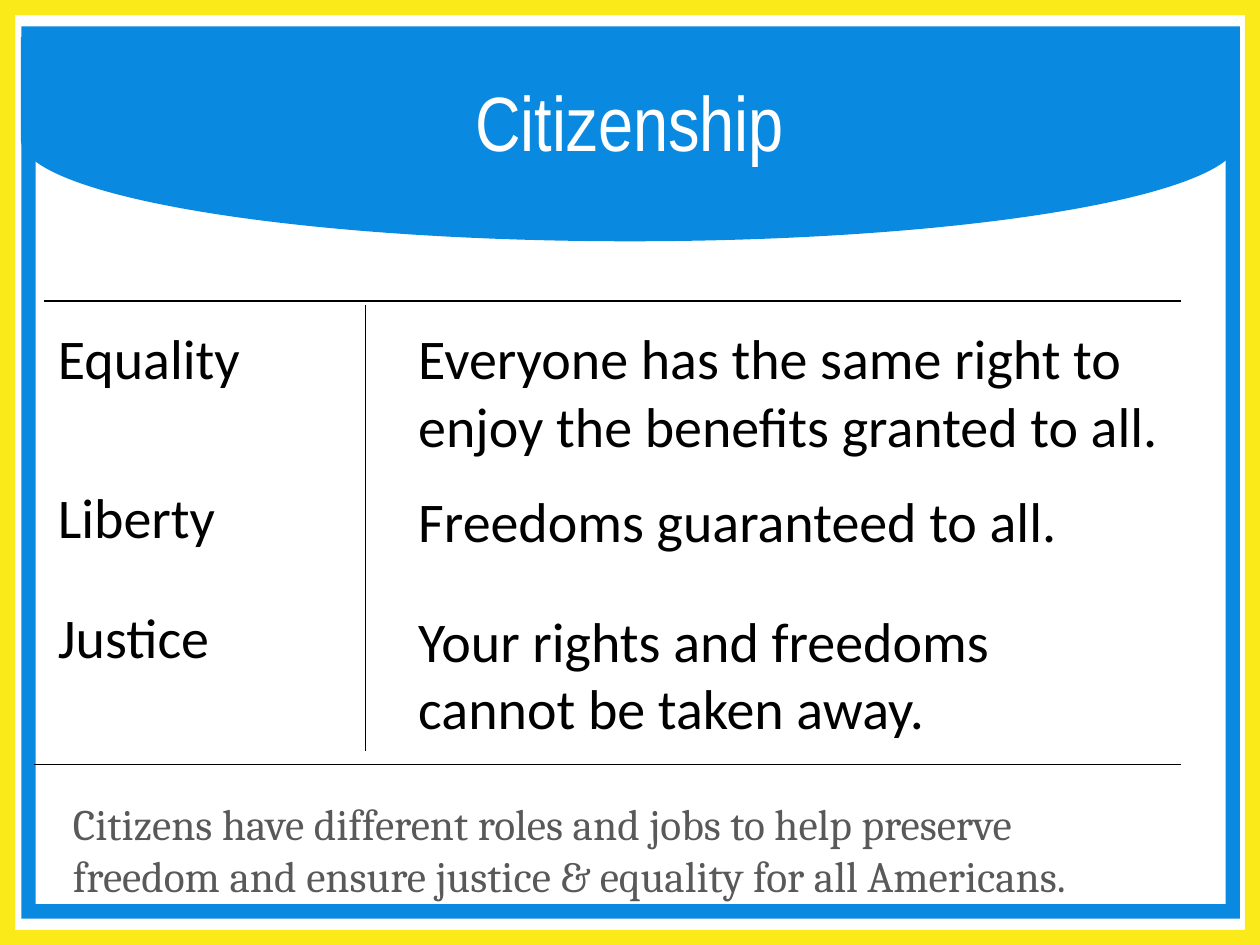
from lxml import etree
from pptx import Presentation
from pptx.dml.color import RGBColor
from pptx.enum import shapes, text
from pptx.oxml import ns
from pptx.util import Inches, Pt

COLORS = {
    "yellow": "FAEA1A",
    "blue": "0A89E0",
    "white": "FFFFFF",
    "black": "000000",
    "grey": "595959",
}
FRAME_RATIO = 0.016
TERM_LEFT, MEANING_LEFT = 0.27, 3.13
TERMS = [
    ("Equality", 2.47, "Everyone has the same right to enjoy the benefits granted to all.", 2.47, 6.37),
    ("Liberty", 3.73, "Freedoms guaranteed to all.", 3.76, 5.9),
    ("Justice", 4.68, "Your rights and freedoms cannot be taken away.", 4.71, 5.9),
]
RULES = [
    (2.9, 2.42, 2.9, 5.96),
    (0.27, 6.07, 9.37, 6.07),
    (0.35, 2.39, 9.37, 2.39),
]


def color(name):
    return RGBColor.from_string(COLORS[name])


def add_filled(page, kind, area, fill):
    shape = page.shapes.add_shape(kind, *map(Inches, area))
    shape.shadow.inherit = False
    shape.fill.solid()
    shape.fill.fore_color.rgb = color(fill)
    shape.line.fill.background()
    return shape


def add_frame(page, area, fill):
    frame = add_filled(page, shapes.MSO_SHAPE.FRAME, area, fill)
    frame.adjustments[0] = FRAME_RATIO


def add_rule(page, ends):
    rule = page.shapes.add_connector(shapes.MSO_CONNECTOR.STRAIGHT, *map(Inches, ends))
    rule.line.color.rgb = color("black")
    rule.line.width = Pt(0.75)
    etree.SubElement(rule.element.spPr, ns.qn("a:effectLst"))


def add_text(page, area, words, font, size, ink, indent=0.13, insets=(0.1, 0.05, 0.1, 0.05)):
    box = page.shapes.add_textbox(*map(Inches, area))
    frame = box.text_frame
    frame.word_wrap = True
    frame.margin_left, frame.margin_top, frame.margin_right, frame.margin_bottom = map(Inches, insets)
    frame.text = words
    para = frame.paragraphs[0]
    para._p.get_or_add_pPr().set("marL", str(Inches(indent)))
    span = para.runs[0]
    span.font.name = font
    span.font.size = Pt(size)
    span.font.color.rgb = color(ink)
    return frame


def add_entry(page, area, words):
    add_text(page, area, words, "Calibri", 32, "black", insets=(0.06, 0.1, 0.1, 0.05))


def add_title(page, words):
    frame = add_text(page, (0.5, 0.33, 9, 1.25), words, "Arial Narrow", 44, "white", indent=0)
    frame.vertical_anchor = text.MSO_ANCHOR.MIDDLE
    frame.paragraphs[0].alignment = text.PP_ALIGN.CENTER


def main():
    deck = Presentation()
    deck.slide_width, deck.slide_height = Inches(10), Inches(7.5)
    page = deck.slides.add_slide(deck.slide_layouts[6])
    page.background.fill.solid()
    page.background.fill.fore_color.rgb = color("white")

    banner = add_filled(page, shapes.MSO_SHAPE.FLOWCHART_DELAY, (4.19, -3.73, 1.62, 9.67), "blue")
    banner.rotation = 90
    add_frame(page, (0, 0, 10, 7.5), "yellow")
    add_frame(page, (0.17, 0.21, 9.67, 7.08), "blue")

    add_text(
        page,
        (0.35, 6.28, 9.02, 0.88),
        "Citizens have different roles and jobs to help preserve freedom and ensure justice & equality for all Americans.",
        "Cambria",
        24.8,
        "grey",
    )
    for ends in RULES:
        add_rule(page, ends)
    for term, term_top, meaning, meaning_top, width in TERMS:
        add_entry(page, (TERM_LEFT, term_top, 2.4, 0.88), term)
        add_entry(page, (MEANING_LEFT, meaning_top, width, 1.41), meaning)
    add_title(page, "Citizenship")

    deck.save("out.pptx")


if __name__ == "__main__":
    main()
